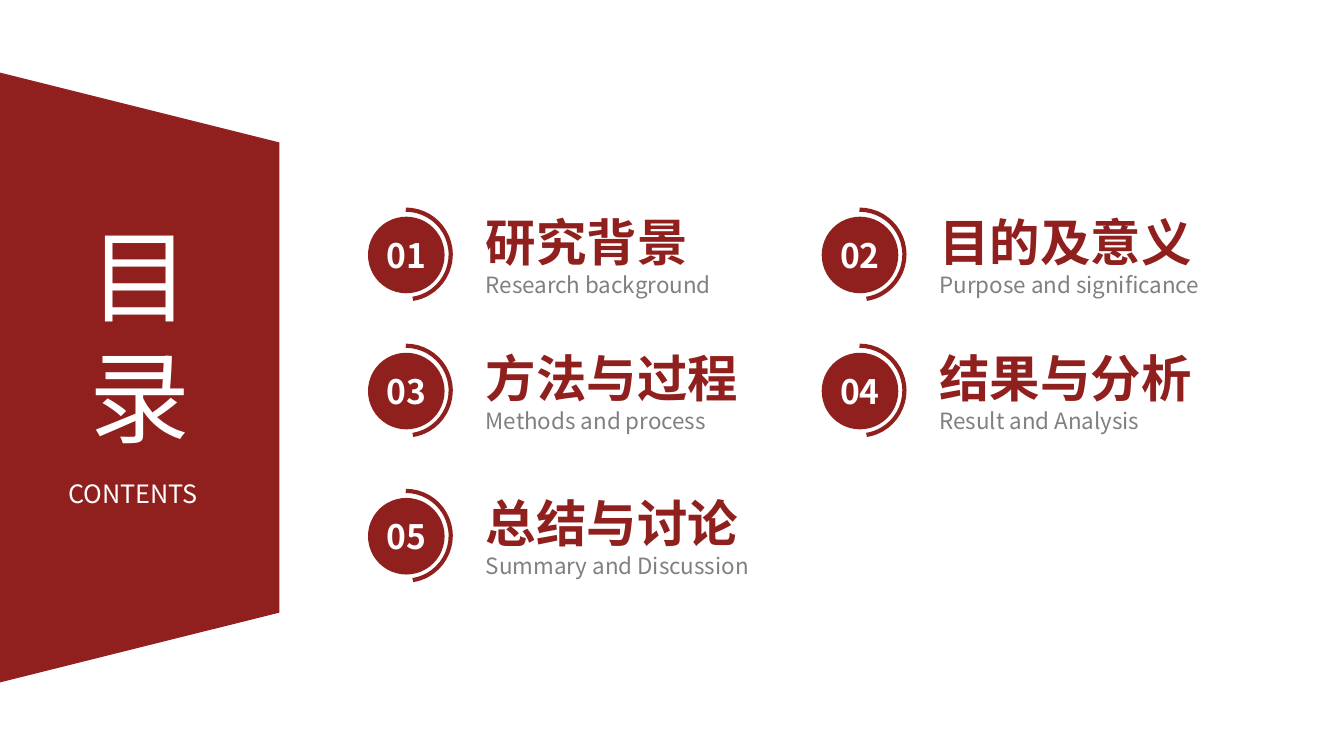
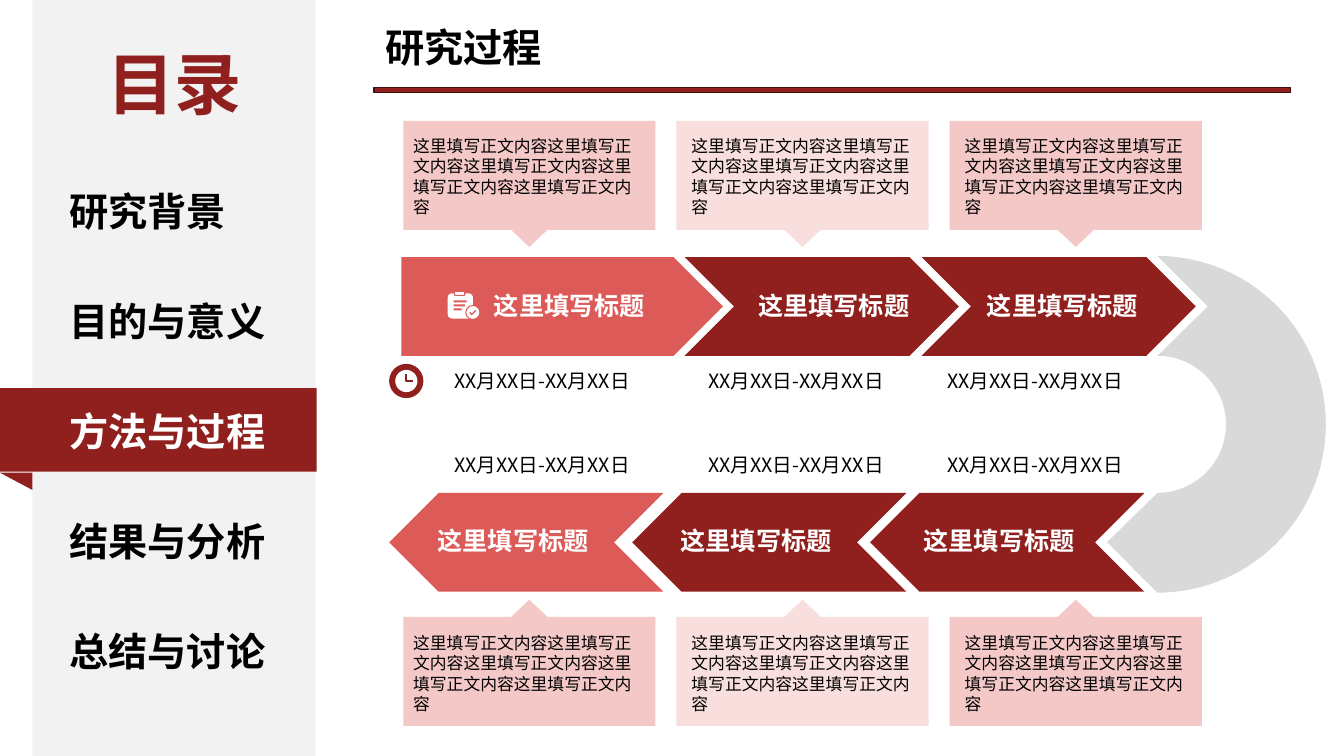
"""Build a contents slide and a research process slide."""
from math import cos, radians, sin

from lxml.etree import SubElement
from pptx import Presentation
from pptx.dml.color import RGBColor
from pptx.enum.shapes import MSO_SHAPE
from pptx.enum.text import MSO_ANCHOR, MSO_AUTO_SIZE, PP_ALIGN
from pptx.oxml.ns import qn
from pptx.util import Inches, Pt

FONT = "Noto Sans CJK SC"
COLORS = {
    "red": "90201E",
    "dark": "3F0E0D",
    "coral": "DC5A58",
    "pink": "F3C8C7",
    "panel": "F2F2F2",
    "turn": "D9D9D9",
    "gray": "808080",
    "black": "000000",
    "white": "FFFFFF",
}


def write_text(target, text, box=None, size=18, color="black", bold=False,
               align=PP_ALIGN.LEFT, anchor=MSO_ANCHOR.TOP, add=False):
    """Write one paragraph in a shape, or in a new text box if box is given."""
    shape = target
    if box and hasattr(target, "add_textbox"):
        shape = target.add_textbox(*map(Inches, box))
    elif box:
        shape.left, shape.top, shape.width, shape.height = map(Inches, box)
    frame = shape.text_frame
    frame.word_wrap = True
    frame.auto_size = MSO_AUTO_SIZE.NONE
    frame.vertical_anchor = anchor
    paragraph = frame.add_paragraph() if add else frame.paragraphs[0]
    paragraph.alignment = align
    paragraph.line_spacing = Pt(size * 1.2)
    run = paragraph.add_run()
    run.text = text
    run.font.name = FONT
    run.font.size = Pt(size)
    run.font.bold = bold
    run.font.color.rgb = RGBColor.from_string(COLORS[color])
    SubElement(run.font._element, qn("a:ea"), typeface=FONT)
    return shape


def draw(shapes, outline, box=None, fill=None, line=None, width=1, closed=True):
    """Draw a preset shape in a box, or an outline through a list of points."""
    if isinstance(outline, list):
        points = [(Inches(x), Inches(y)) for x, y in outline]
        builder = shapes.build_freeform(*points[0])
        builder.add_line_segments(points[1:], close=closed)
        shape = builder.convert_to_shape()
    else:
        shape = shapes.add_shape(outline, *map(Inches, box))
    shape.shadow.inherit = False
    if fill:
        shape.fill.solid()
        shape.fill.fore_color.rgb = RGBColor.from_string(COLORS[fill])
    else:
        shape.fill.background()
    if line:
        shape.line.color.rgb = RGBColor.from_string(COLORS[line])
        shape.line.width = Pt(width)
    else:
        shape.line.fill.background()
    return shape


presentation = Presentation()
presentation.slide_width = Inches(13.33)
presentation.slide_height = Inches(7.5)
title_only = presentation.slide_layouts[5]

slide = presentation.slides.add_slide(title_only)
shapes = slide.shapes
title = write_text(shapes.title, "目录", (0.49, 2.07, 1.79, 2.52), size=72,
                   color="white", align=PP_ALIGN.CENTER)
banner = draw(shapes, MSO_SHAPE.TRAPEZOID, (-1.64, 2.36, 6.05, 2.77), "red")
banner.rotation = 90
title.element.addprevious(banner.element)
write_text(shapes, "CONTENTS", (0.58, 4.7, 1.61, 0.4), color="white")

chapters = [
    ("研究背景", "Research background"),
    ("目的及意义", "Purpose and significance"),
    ("方法与过程", "Methods and process"),
    ("结果与分析", "Result and Analysis"),
    ("总结与讨论", "Summary and Discussion"),
]
row_tops = [2.08, 3.43, 4.87]
for index, (heading, translation) in enumerate(chapters):
    left = 3.58 + 4.5 * (index % 2)
    top = row_tops[index // 2]
    group = shapes.add_group_shape().shapes
    disc = draw(group, MSO_SHAPE.OVAL, (left + 0.07, top + 0.07, 0.76, 0.76), "red")
    frame = disc.text_frame
    frame.margin_left = frame.margin_right = frame.margin_top = frame.margin_bottom = 0
    write_text(disc, f"{index + 1:02}", size=24, color="white", bold=True,
               align=PP_ALIGN.CENTER, anchor=MSO_ANCHOR.MIDDLE)
    label = write_text(group, heading, (left + 1.14, top - 0.04, 3.9, 0.98),
                       size=36, color="red", bold=True)
    write_text(label, translation, size=16, color="gray", add=True)
    arc = draw(group, MSO_SHAPE.ARC, (left, top, 0.89, 0.89), line="red", width=3)
    arc.adjustments[0] = 162
    arc.adjustments[1] = 48.638

slide = presentation.slides.add_slide(title_only)
shapes = slide.shapes
write_text(shapes.title, "研究过程", (3.72, 0.18, 4.93, 0.57), size=28, bold=True)
draw(shapes, MSO_SHAPE.RECTANGLE, (3.71, 0.87, 9.09, 0.05), "red", line="dark")

draw(shapes, MSO_SHAPE.RECTANGLE, (0.32, 0, 2.81, 7.5), "panel")
draw(shapes, MSO_SHAPE.RECTANGLE, (0, 3.85, 3.14, 0.83), "red")
fold = draw(shapes, MSO_SHAPE.RIGHT_TRIANGLE, (0, 4.69, 0.32, 0.17), "red")
fold.rotation = 180
write_text(shapes, "目录", (0.76, 0.37, 1.94, 0.91), size=48, color="red",
           bold=True, align=PP_ALIGN.CENTER)
menu = ["研究背景", "目的与意义", "方法与过程", "结果与分析", "总结与讨论"]
for index, entry in enumerate(menu):
    write_text(shapes, entry, (0.59, 1.81 + 1.09 * index, 2.21, 0.57), size=28,
               color="white" if entry == "方法与过程" else "black", bold=True)

center_x, center_y = 11.48, 4.21
outer_arc = [(center_x + 1.67 * cos(radians(angle)), center_y + 1.67 * sin(radians(angle)))
             for angle in range(-90, 91, 3)]
inner_arc = [(center_x + 0.68 * cos(radians(angle)), center_y + 0.68 * sin(radians(angle)))
             for angle in range(90, -91, -3)]
draw(shapes, outer_arc + [(10.98, 5.38)] + inner_arc + [(11.98, 3.04)], fill="turn")

arrows = [
    (MSO_SHAPE.PENTAGON, 3.98, 2.55, 3.19, "coral", 0),
    (MSO_SHAPE.CHEVRON, 6.79, 2.55, 2.72, "red", 0),
    (MSO_SHAPE.CHEVRON, 9.14, 2.55, 2.72, "red", 0),
    (MSO_SHAPE.CHEVRON, 8.63, 4.89, 2.72, "red", 180),
    (MSO_SHAPE.CHEVRON, 6.27, 4.89, 2.72, "red", 180),
    (MSO_SHAPE.CHEVRON, 3.86, 4.89, 2.72, "coral", 180),
]
for kind, left, top, width, fill, rotation in arrows:
    arrow = draw(shapes, kind, (left, top, width, 0.98), fill)
    arrow.rotation = rotation

date_lefts = [4.17, 6.69, 9.06]
rows = [
    {"edge": 1.2, "shoulder": 2.28, "tip": 2.45, "body": 1.3,
     "heading": 2.83, "date": 3.61, "heading_lefts": [4.8, 7.42, 9.69]},
    {"edge": 7.2, "shoulder": 6.12, "tip": 5.95, "body": 6.23,
     "heading": 5.16, "date": 4.44, "heading_lefts": [4.24, 6.65, 9.06]},
]
for row in rows:
    for column, date_left in enumerate(date_lefts):
        left = 4 + 2.71 * column
        middle = left + 1.25
        edge, shoulder = row["edge"], row["shoulder"]
        is_pale = column == 1
        callout = draw(shapes, [
            (left, edge), (left + 2.5, edge), (left + 2.5, shoulder),
            (middle + 0.18, shoulder), (middle, row["tip"]),
            (middle - 0.18, shoulder), (left, shoulder),
        ], fill="coral" if is_pale else "pink")
        if is_pale:
            color = callout.element.xpath("./p:spPr/a:solidFill/a:srgbClr")[0]
            SubElement(color, qn("a:alpha"), val="20000")
        body_left = left + (0.05 if column else 0)
        write_text(shapes, "这里填写正文内容" * 5, (body_left, row["body"], 2.5, 0.91), size=12)
        write_text(shapes, "这里填写标题", (row["heading_lefts"][column], row["heading"], 1.91, 0.4),
                   color="white", bold=True)
        write_text(shapes, "XX月XX日-XX月XX日", (date_left, row["date"], 2.41, 0.34),
                   size=14, align=PP_ALIGN.CENTER)

clipboard = shapes.add_group_shape().shapes
draw(clipboard, MSO_SHAPE.ROUNDED_RECTANGLE, (4.44, 2.91, 0.25, 0.25), "white")
draw(clipboard, MSO_SHAPE.ROUNDED_RECTANGLE, (4.51, 2.89, 0.1, 0.04), "white", "coral", 0.75)
for row_index, width in enumerate([0.13, 0.11, 0.08]):
    draw(clipboard, MSO_SHAPE.RECTANGLE, (4.5, 2.98 + 0.04 * row_index, width, 0.02), "coral")
draw(clipboard, MSO_SHAPE.OVAL, (4.62, 3.03, 0.14, 0.14), "white", "coral", 0.75)
draw(clipboard, [(4.66, 3.1), (4.68, 3.12), (4.72, 3.08)], line="coral", closed=False)

clock = shapes.add_group_shape().shapes
draw(clock, MSO_SHAPE.OVAL, (3.86, 3.61, 0.34, 0.34), "red")
draw(clock, MSO_SHAPE.OVAL, (3.92, 3.67, 0.22, 0.22), "white")
draw(clock, [(4.03, 3.71), (4.03, 3.78), (4.1, 3.78)], line="red", width=1.5, closed=False)

presentation.save("out.pptx")
